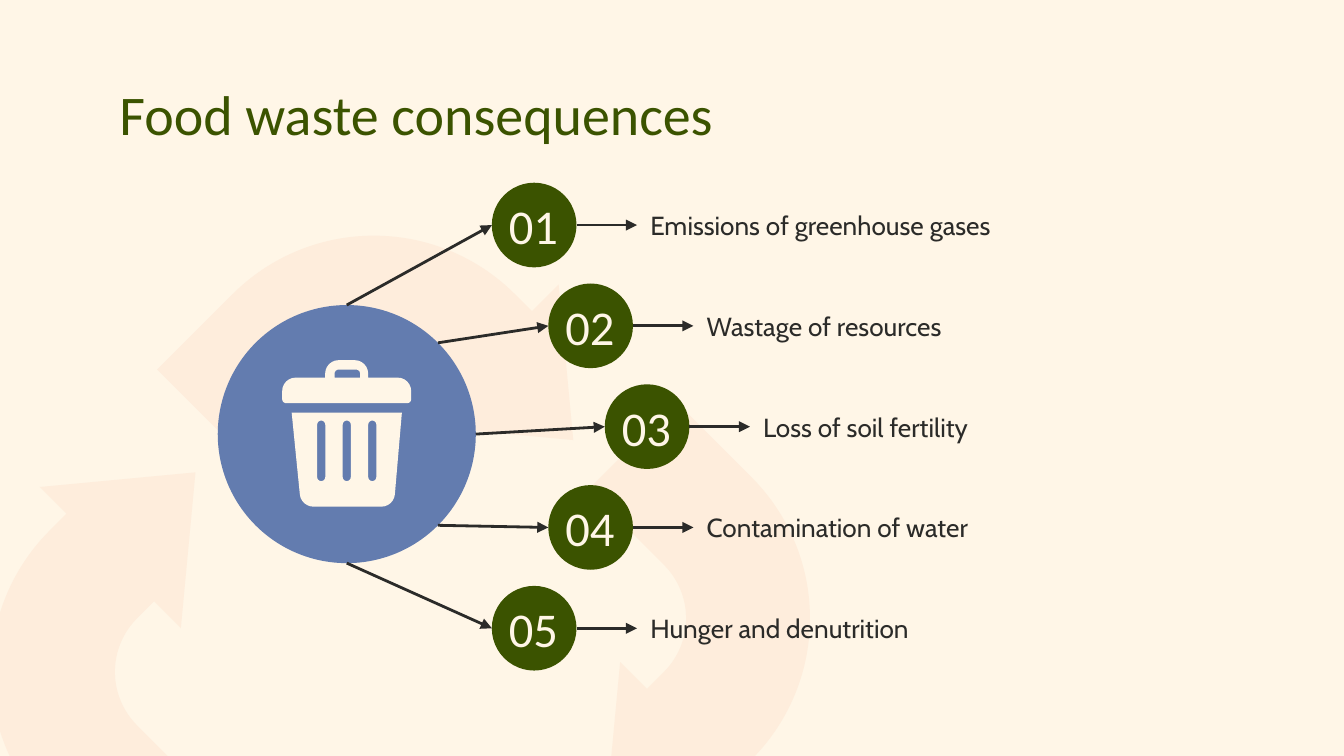
import math

import pptx
import pptx.dml.color
import pptx.enum.shapes
import pptx.enum.text
import pptx.util
from lxml import etree
from pptx.oxml.ns import qn

Inches = pptx.util.Inches
Shape = pptx.enum.shapes.MSO_SHAPE
Anchor = pptx.enum.text.MSO_ANCHOR
Align = pptx.enum.text.PP_ALIGN

COLOURS = {
    "cream": "FFF6E7",
    "peach": "FEEDDC",
    "green": "3B5300",
    "blue": "637CAF",
    "ink": "2B2B29",
}
CONSEQUENCES = [
    "Emissions of greenhouse gases",
    "Wastage of resources",
    "Loss of soil fertility",
    "Contamination of water",
    "Hunger and denutrition",
]
HUB_X, HUB_Y, HUB_RADIUS = 2.58, 3.23, 0.96
CIRCLE_SIZE = 0.63
CURVE_STEPS = 6


def colour(name):
    return pptx.dml.color.RGBColor.from_string(COLOURS[name])


def paint(shape, name):
    shape.shadow.inherit = False
    shape.fill.solid()
    shape.fill.fore_color.rgb = colour(name)
    shape.line.fill.background()


def add_preset(page, kind, left, top, size, fill):
    shape = page.shapes.add_shape(
        kind, Inches(left), Inches(top), Inches(size), Inches(size))
    paint(shape, fill)
    return shape


def add_text(page, text, left, top, width, height, font, size, fill,
             anchor=Anchor.MIDDLE, align=Align.LEFT):
    box = page.shapes.add_textbox(
        Inches(left), Inches(top), Inches(width), Inches(height))
    frame = box.text_frame
    frame.word_wrap = True
    frame.vertical_anchor = anchor
    frame.margin_left = frame.margin_right = Inches(0.1)
    frame.margin_top = frame.margin_bottom = Inches(0.1)
    para = frame.paragraphs[0]
    para.text = text
    para.alignment = align
    para.font.name = font
    para.font.size = pptx.util.Pt(size)
    para.font.color.rgb = colour(fill)


def add_arrow(page, start, end):
    arrow = page.shapes.add_connector(
        pptx.enum.shapes.MSO_CONNECTOR.STRAIGHT,
        *(Inches(value) for value in (*start, *end)))
    arrow.line.color.rgb = colour("ink")
    arrow.line.width = pptx.util.Pt(1.5)
    etree.SubElement(arrow.line._get_or_add_ln(), qn("a:tailEnd"), type="triangle")
    etree.SubElement(arrow._element.spPr, qn("a:effectLst"))


def toward(corner, other, distance):
    share = distance / math.dist(corner, other)
    return [a + (b - a) * share for a, b in zip(corner, other)]


def rounded_outline(corners):
    points = []
    for index, (x, y, radius) in enumerate(corners):
        before = corners[index - 1][:2]
        after = corners[(index + 1) % len(corners)][:2]
        if not radius:
            points.append((x, y))
            continue
        start = toward((x, y), before, radius)
        end = toward((x, y), after, radius)
        for step in range(CURVE_STEPS + 1):
            angle = math.pi / 2 * step / CURVE_STEPS
            near, far = 1 - math.sin(angle), 1 - math.cos(angle)
            points.append(tuple(
                corner + (first - corner) * near + (last - corner) * far
                for corner, first, last in zip((x, y), start, end)))
    return [(Inches(x), Inches(y)) for x, y in points]


def add_outline(page, contours, fill):
    outlines = [rounded_outline(corners) for corners in contours]
    builder = page.shapes.build_freeform(*outlines[0][0], scale=1.0)
    builder.add_line_segments(outlines[0][1:], close=True)
    for outline in outlines[1:]:
        builder.move_to(*outline[0])
        builder.add_line_segments(outline[1:], close=True)
    paint(builder.convert_to_shape(), fill)


def add_bin(page):
    body = [(2.17, 3.07, 0), (2.99, 3.07, 0), (2.93, 3.77, 0.09), (2.24, 3.77, 0.09)]
    slots = []
    for index in range(3):
        left = 2.36 + 0.19 * index
        right = left + 0.06
        slots.append([(left, 3.13, 0.03), (right, 3.13, 0.03),
                      (right, 3.58, 0.03), (left, 3.58, 0.03)])
    add_outline(page, [body, *slots], "cream")

    lid = [(2.1, 2.81, 0.1), (2.42, 2.81, 0), (2.42, 2.68, 0.1), (2.74, 2.68, 0.1),
           (2.74, 2.81, 0), (3.06, 2.81, 0.1), (3.06, 3, 0.03), (2.1, 3, 0.03)]
    handle_gap = [(2.49, 2.75, 0.03), (2.68, 2.75, 0.03), (2.68, 2.81, 0), (2.49, 2.81, 0)]
    add_outline(page, [lid, handle_gap], "cream")


def add_recycling_arrows(page):
    for left, top, rotation in [(-0.35, 3.52, 315), (1.7, 1.47, 45), (3.75, 3.52, 135)]:
        arrow = add_preset(page, Shape.BENT_ARROW, left, top, 2.56, "peach")
        arrow.rotation = rotation
        for index, value in enumerate([0.36, 0.29, 0.35, 0.58]):
            arrow.adjustments[index] = value


def add_consequence(page, index, text):
    left = 3.66 + 0.42 * (2 - abs(index - 2))
    top = 1.36 + 0.75 * index
    right = left + CIRCLE_SIZE
    middle = top + CIRCLE_SIZE / 2
    angle = math.radians(45 * (index - 2))
    hub_edge = (HUB_X + HUB_RADIUS * math.cos(angle),
                HUB_Y + HUB_RADIUS * math.sin(angle))
    add_preset(page, Shape.OVAL, left, top, CIRCLE_SIZE, "green")
    add_arrow(page, hub_edge, (left, middle))
    add_arrow(page, (right, middle), (right + 0.45, middle))
    add_text(page, f"{index + 1:02}", left - 0.04, middle - 0.15, 0.7, 0.3,
             "Calibri", 26, "cream", align=Align.CENTER)
    add_text(page, text, right + 0.45, middle - 0.25, 2.8, 0.5, "Cabin", 14, "ink")


def main():
    deck = pptx.Presentation()
    deck.slide_width = Inches(10)
    deck.slide_height = deck.slide_width * 9 // 16
    page = deck.slides.add_slide(deck.slide_layouts[6])
    page.background.fill.solid()
    page.background.fill.fore_color.rgb = colour("cream")

    add_recycling_arrows(page)
    add_text(page, "Food waste consequences", 0.79, 0.49, 8.43, 0.63,
             "Calibri", 30, "green", anchor=Anchor.TOP)
    add_preset(page, Shape.OVAL, HUB_X - HUB_RADIUS, HUB_Y - HUB_RADIUS,
               2 * HUB_RADIUS, "blue")
    for index, text in enumerate(CONSEQUENCES):
        add_consequence(page, index, text)
    add_bin(page)
    deck.save("out.pptx")


if __name__ == "__main__":
    main()
